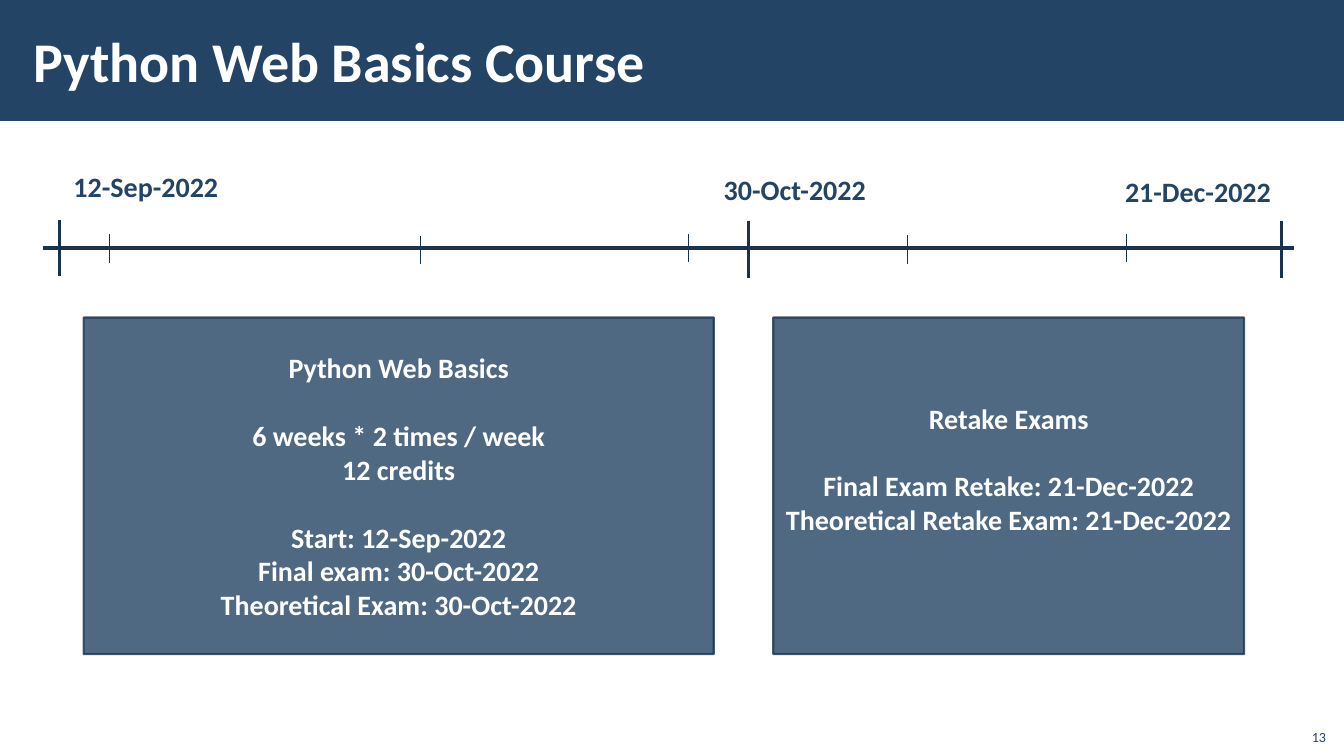
import lxml.etree
import pptx
import pptx.dml.color
import pptx.enum.shapes
import pptx.enum.text
import pptx.oxml.ns
import pptx.util

SCALE = 9144
COLORS = {"navy": "234465", "line": "1A334C", "white": "FFFFFF"}
ALIGN = pptx.enum.text.PP_ALIGN
ANCHOR = pptx.enum.text.MSO_ANCHOR
RECTANGLE = pptx.enum.shapes.MSO_SHAPE.RECTANGLE


def px(*lengths):
    return [pptx.util.Emu(length * SCALE) for length in lengths]


def write(shape, paragraphs, size, color, align, bold=True, **frame_format):
    frame = shape.text_frame
    for name, value in frame_format.items():
        setattr(frame, name, value)
    frame.text = "\n".join(text for text, gap in paragraphs)
    font_format = {"name": "Calibri", "size": pptx.util.Pt(size), "bold": bold}
    for paragraph, (text, gap) in zip(frame.paragraphs, paragraphs):
        paragraph.alignment = align
        paragraph.space_before = pptx.util.Pt(gap)
        font = paragraph.runs[0].font
        for name, value in font_format.items():
            setattr(font, name, value)
        font.color.rgb = pptx.dml.color.RGBColor.from_string(COLORS[color])


presentation = pptx.Presentation()
presentation.slide_width, presentation.slide_height = px(1333, 750)
slide = presentation.slides.add_slide(presentation.slide_layouts[5])
shapes = slide.shapes

band = shapes.add_shape(RECTANGLE, *px(0, 0, 1334, 120))
band.shadow.inherit = False
band.fill.solid()
band.fill.fore_color.rgb = pptx.dml.color.RGBColor.from_string(COLORS["navy"])
band.line.fill.background()

title = shapes.title
title.left, title.top, title.width, title.height = px(21, 11, 1063, 97)
band.element.addnext(title.element)
left, top, right, bottom = px(12, 4, 12, 4)
write(title, [("Python Web Basics Course", 0)], 40, "white", ALIGN.LEFT,
      vertical_anchor=ANCHOR.MIDDLE, auto_size=pptx.enum.text.MSO_AUTO_SIZE.NONE,
      margin_left=left, margin_top=top, margin_right=right, margin_bottom=bottom)

timeline = [
    (43, 246, 1283, 246, 2.25),
    (59, 218, 59, 274, 2.25),
    (742, 219, 742, 276, 2.25),
    (1271, 219, 1271, 276, 2.25),
    (108, 232, 108, 261, 0.5),
    (417, 234, 417, 262, 0.5),
    (683, 232, 683, 260, 0.5),
    (900, 233, 900, 262, 0.5),
    (1117, 232, 1117, 260, 0.5),
]
for *ends, width in timeline:
    connector = shapes.add_connector(pptx.enum.shapes.MSO_CONNECTOR.STRAIGHT, *px(*ends))
    connector.line.width = pptx.util.Pt(width)
    connector.line.color.rgb = pptx.dml.color.RGBColor.from_string(COLORS["line"])
    lxml.etree.SubElement(connector.element.spPr, pptx.oxml.ns.qn("a:effectLst"))

dates = [
    ("12-Sep-2022", 63, 163, 165),
    ("30-Oct-2022", 708, 166, 163),
    ("21-Dec-2022", 1106, 168, 166),
]
for text, left, top, width in dates:
    label = shapes.add_textbox(*px(left, top, width, 44))
    write(label, [(text, 0)], 20, "navy", ALIGN.LEFT, word_wrap=False)

LINE_GAP = 24.4
boxes = [
    (83, 625, 5, [
        ("Python Web Basics", 0),
        ("6 weeks * 2 times / week", LINE_GAP),
        ("12 credits", 0),
        ("Start: 12-Sep-2022", LINE_GAP),
        ("Final exam: 30-Oct-2022", 0),
        ("Theoretical Exam: 30-Oct-2022", 0),
    ]),
    (767, 467, 39, [
        ("Retake Exams", 0),
        ("Final Exam Retake: 21-Dec-2022", LINE_GAP),
        ("Theoretical Retake Exam: 21-Dec-2022", 0),
    ]),
]
for left, width, margin, paragraphs in boxes:
    box = shapes.add_shape(RECTANGLE, *px(left, 315, width, 334))
    box.shadow.inherit = False
    box.fill.solid()
    box.fill.fore_color.rgb = pptx.dml.color.RGBColor.from_string(COLORS["navy"])
    box.line.color.rgb = pptx.dml.color.RGBColor.from_string(COLORS["line"])
    box.line.width = pptx.util.Pt(1.5)
    for color in box.element.spPr.findall(".//" + pptx.oxml.ns.qn("a:srgbClr")):
        lxml.etree.SubElement(color, pptx.oxml.ns.qn("a:alpha"), val="80000")
    write(box, paragraphs, 20, "white", ALIGN.CENTER, word_wrap=True,
          vertical_anchor=ANCHOR.MIDDLE, margin_bottom=px(margin)[0])

number = shapes.add_textbox(*px(1285, 712, 40, 32))
write(number, [("13", 0)], 10, "navy", ALIGN.RIGHT, bold=False,
      word_wrap=True, vertical_anchor=ANCHOR.BOTTOM)

presentation.save("out.pptx")
